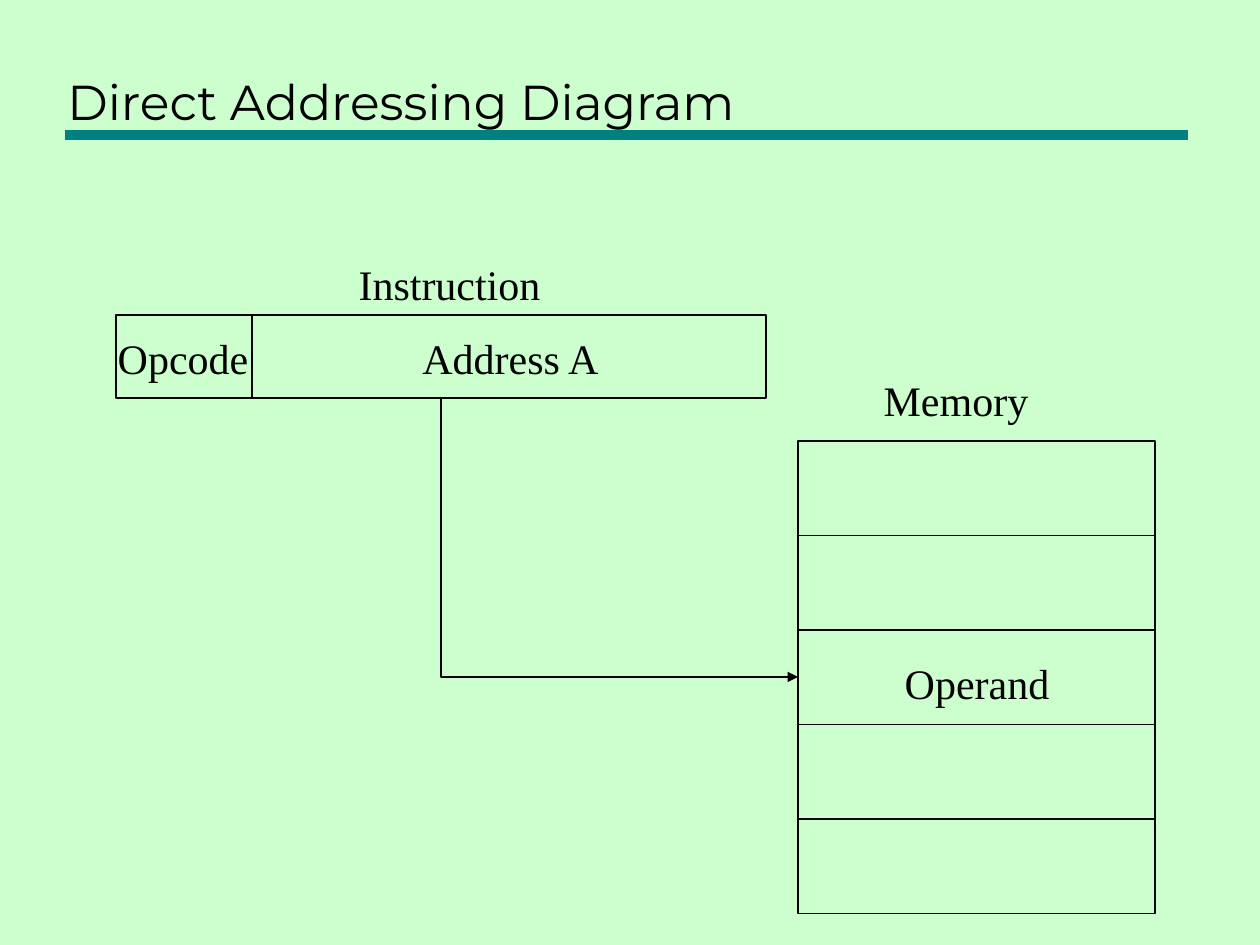
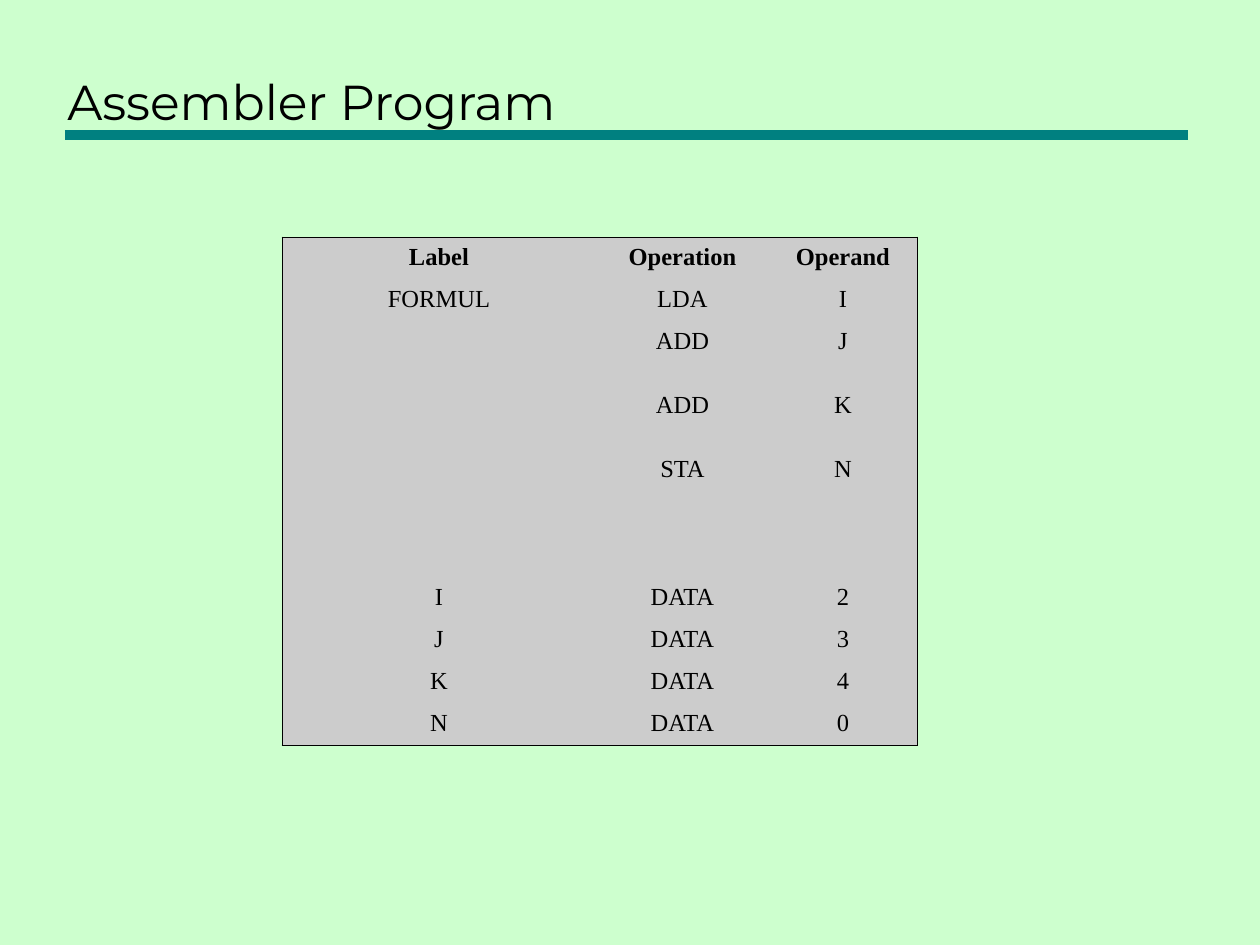
from lxml import etree
from pptx import Presentation
from pptx.dml.color import RGBColor
from pptx.enum.shapes import MSO_CONNECTOR, MSO_SHAPE
from pptx.enum.text import MSO_ANCHOR, PP_ALIGN
from pptx.oxml.ns import qn
from pptx.util import Emu, Pt

SCALE = 914400 / 126
BLACK, TEAL, MINT, GREY = "000000", "008080", "CDFFCE", "CCCCCC"
HEAD, BODY = "Montserrat", "Times New Roman"
RECT = MSO_SHAPE.RECTANGLE
LINE = MSO_CONNECTOR.STRAIGHT
CENTER, LEFT = PP_ALIGN.CENTER, PP_ALIGN.LEFT
TOP, BOTTOM = MSO_ANCHOR.TOP, MSO_ANCHOR.BOTTOM

PROGRAM = [
    ("Label", "Operation", "Operand"),
    ("FORMUL", "LDA", "I"),
    ("", "ADD", "J"),
    ("", "ADD", "K"),
    ("", "STA", "N"),
    ("", "", ""),
    ("I", "DATA", "2"),
    ("J", "DATA", "3"),
    ("K", "DATA", "4"),
    ("N", "DATA", "0"),
]


def px(size):
    return Emu(round(size * SCALE))


def color(code):
    return RGBColor.from_string(code)


def style(para, size, face=BODY, align=CENTER, bold=False):
    para.alignment = align
    font = para.font
    font.name, font.size, font.bold = face, Pt(size), bold
    font.color.rgb = color(BLACK)


def add_text(slide, text, x, y, w, h, size=24, face=BODY, align=CENTER, anchor=TOP, wrap=False):
    frame = slide.shapes.add_textbox(px(x), px(y), px(w), px(h)).text_frame
    frame.word_wrap = wrap
    frame.vertical_anchor = anchor
    frame.text = text
    style(frame.paragraphs[0], size, face, align)


def add_line(slide, x1, y1, x2, y2, code=BLACK, width=1):
    line = slide.shapes.add_connector(LINE, px(x1), px(y1), px(x2), px(y2))
    line.line.color.rgb = color(code)
    line.line.width = Pt(width)
    etree.SubElement(line._element.spPr, qn("a:effectLst"))


def outline(shape):
    shape.shadow.inherit = False
    shape.fill.background()
    shape.line.color.rgb = color(BLACK)
    shape.line.width = Pt(1)


def add_box(slide, x, y, w, h):
    outline(slide.shapes.add_shape(RECT, px(x), px(y), px(w), px(h)))


def add_arrow(slide, start, *points):
    path = slide.shapes.build_freeform(*start, scale=SCALE)
    path.add_line_segments(points, close=False)
    arrow = path.convert_to_shape()
    outline(arrow)
    etree.SubElement(arrow.line._get_or_add_ln(), qn("a:tailEnd"), type="triangle")


def add_edge(cell, side, drawn):
    edge = etree.SubElement(cell._tc.get_or_add_tcPr(), qn(f"a:ln{side}"), w=str(Pt(0.45)))
    if drawn:
        fill = etree.SubElement(edge, qn("a:solidFill"))
        etree.SubElement(fill, qn("a:srgbClr"), val=BLACK)
    else:
        etree.SubElement(edge, qn("a:noFill"))


def add_grid(slide, x, y, cols, rows, data):
    table = slide.shapes.add_table(
        len(rows), len(cols), px(x), px(y), px(sum(cols)), px(sum(rows))).table
    table.first_row = table.horz_banding = False
    for col, width in zip(table.columns, cols):
        col.width = px(width)
    for r, (height, words) in enumerate(zip(rows, data)):
        table.rows[r].height = px(height)
        for c, word in enumerate(words):
            cell = table.cell(r, c)
            cell.text = word
            style(cell.text_frame.paragraphs[0], 14, bold=r == 0)
            add_edge(cell, "L", c == 0)
            add_edge(cell, "R", c == len(cols) - 1)
            add_edge(cell, "T", r == 0)
            add_edge(cell, "B", r == len(rows) - 1)
            cell.fill.solid()
            cell.fill.fore_color.rgb = color(GREY)


def add_slide(deck, title):
    slide = deck.slides.add_slide(deck.slide_layouts[6])
    fill = slide.background.fill
    fill.solid()
    fill.fore_color.rgb = color(MINT)
    add_line(slide, 65, 135, 1188, 135, TEAL, 6)
    add_text(slide, title, 55, 21, 1130, 116, 28, HEAD, LEFT, BOTTOM, True)
    return slide


def draw_direct(deck):
    slide = add_slide(deck, "Direct Addressing Diagram")
    add_box(slide, 116, 315, 650, 83)
    add_line(slide, 252, 316, 252, 398)
    add_text(slide, "Address A", 409, 326, 203, 63)
    add_text(slide, "Opcode", 105, 326, 156, 63)
    add_text(slide, "Instruction", 346, 252, 207, 63)
    left, top, step = 798, 441, 94.5
    for i in range(5):
        add_box(slide, left, top + i * step, 357, step)
    add_text(slide, "Memory", 871, 368, 170, 63)
    add_text(slide, "Operand", 892, 651, 170, 63)
    aim = top + 2.5 * step
    add_arrow(slide, (441, 398), (441, aim), (left, aim))


def draw_program(deck):
    slide = add_slide(deck, "Assembler Program")
    rows = [42] * 2 + [64] * 4 + [42] * 4
    add_grid(slide, 282, 237, [314, 173, 148], rows, PROGRAM)


def main():
    deck = Presentation()
    deck.slide_width, deck.slide_height = px(1260), px(945)
    draw_direct(deck)
    draw_program(deck)
    deck.save("out.pptx")


if __name__ == "__main__":
    main()
